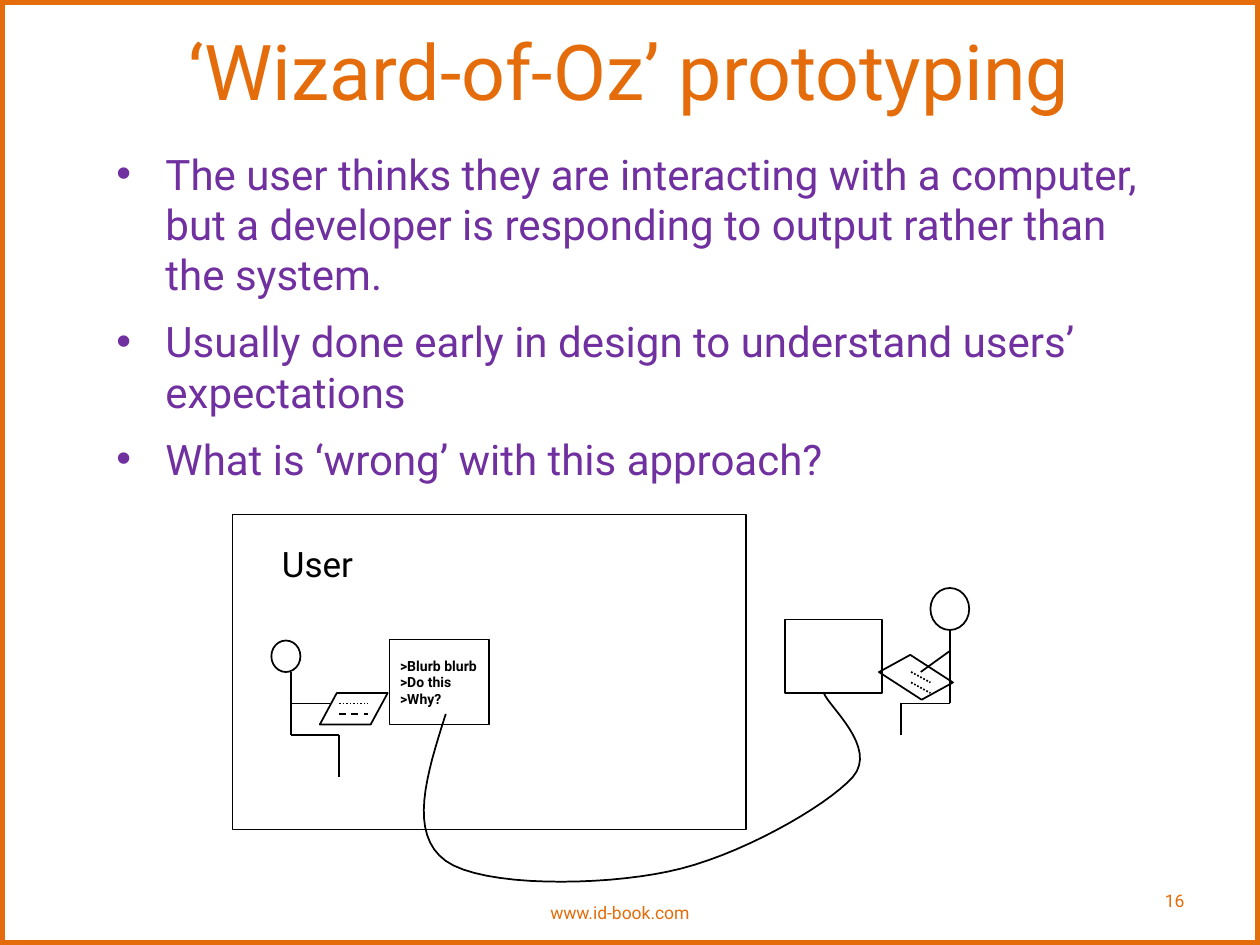
from pptx import Presentation
from pptx.dml.color import RGBColor
from pptx.enum.dml import MSO_LINE as Dash
from pptx.enum.shapes import MSO_CONNECTOR as Conn, MSO_SHAPE as Kind
from pptx.enum.text import MSO_ANCHOR as Anchor, MSO_AUTO_SIZE as Fit, PP_ALIGN as Align
from pptx.oxml.ns import qn
from pptx.util import Inches, Pt

COLS, ROWS = 130, 90
COLORS = {"accent": "E46C0A", "body": "7030A0", "ink": "000000"}


class Sketch:
    """Draws on one slide; lengths are columns and rows of the grid."""

    def __init__(self, deck):
        self.slide = deck.slides.add_slide(deck.slide_layouts[1])
        self.shapes = self.slide.shapes
        self.col = deck.slide_width / COLS
        self.row = deck.slide_height / ROWS
        self.font = "Roboto"

    def at(self, *nums):
        return [round(n * (self.row if i % 2 else self.col)) for i, n in enumerate(nums)]

    def stroke(self, item, color="ink", width=1):
        item.line.color.rgb = RGBColor.from_string(COLORS[color])
        item.line.width = Pt(width)

    def fill(self, box, lines, size, color, bold=False, align=Align.LEFT,
             anchor=Anchor.TOP, wrap=True, gap=0, hang=0):
        """Puts styled paragraphs into a box."""
        frame = box.text_frame
        frame.text = "\n".join(lines)
        frame.word_wrap = wrap
        frame.auto_size = Fit.NONE
        frame.vertical_anchor = anchor
        for i, para in enumerate(frame.paragraphs):
            para.alignment = align
            para.space_before = Pt(gap if i else 0)
            if hang:
                props = para._p.get_or_add_pPr()
                props.set("marL", str(Inches(hang)))
                props.set("indent", str(-Inches(hang)))
            font = para.font
            font.name, font.size, font.bold = self.font, Pt(size), bold
            font.color.rgb = RGBColor.from_string(COLORS[color])

    def holder(self, index, place, lines, size, color, **style):
        box = self.slide.placeholders[index]
        box.left, box.top, box.width, box.height = self.at(*place)
        self.fill(box, lines, size, color, **style)

    def text(self, place, lines, size, color="ink", **style):
        self.fill(self.shapes.add_textbox(*self.at(*place)), lines, size, color, **style)

    def shape(self, kind, *place, color="ink", width=1):
        item = self.shapes.add_shape(kind, *self.at(*place))
        item.shadow.inherit = False
        item.fill.background()
        self.stroke(item, color, width)
        return item

    def keys(self, *place, turn=0):
        item = self.shape(Kind.PARALLELOGRAM, *place)
        item.adjustments[0] = 0.54
        item.rotation = turn

    def line(self, *ends, dash=None):
        item = self.shapes.add_connector(Conn.STRAIGHT, *self.at(*ends))
        self.stroke(item)
        if dash:
            item.line.dash_style = dash
        props = item._element.spPr
        props.append(props.makeelement(qn("a:effectLst"), {}))

    def chain(self, *points):
        for start, end in zip(points, points[1:]):
            self.line(*start, *end)

    def curve(self, start, arcs, steps=16):
        """Draws joined cubic arcs, each given as two handles and an end."""
        points, here = [], start
        for arc in arcs:
            for i in range(1, steps + 1):
                t = i / steps
                u = 1 - t
                parts = (u ** 3, 3 * u * u * t, 3 * u * t * t, t ** 3)
                points.append(self.at(*(
                    sum(p * spot[axis] for p, spot in zip(parts, (here, *arc)))
                    for axis in (0, 1))))
            here = arc[-1]
        pen = self.shapes.build_freeform(*self.at(*start))
        pen.add_line_segments(points, close=False)
        item = pen.convert_to_shape()
        item.shadow.inherit = False
        item.fill.background()
        self.stroke(item)


def main():
    deck = Presentation()
    deck.slide_width, deck.slide_height = Inches(10), Inches(7.5)
    art = Sketch(deck)

    art.shape(Kind.RECTANGLE, 0, 0, COLS, ROWS, color="accent", width=6)
    art.holder(0, (17.3, 1.6, 95.3, 10), ["‘Wizard-of-Oz’ prototyping"], 44, "accent",
               align=Align.CENTER, anchor=Anchor.MIDDLE, wrap=False)
    art.holder(1, (10.7, 13.5, 111.5, 66), [
        "The user thinks they are interacting with a computer, but a developer is "
        "responding to output rather than the system.",
        "Usually done early in design to understand users’ expectations",
        "What is ‘wrong’ with this approach?",
    ], 24, "body", gap=9.4, hang=0.39)
    art.text((55.5, 84.5, 30.3, 4.8), ["www.id-book.com"], 10, "accent",
             anchor=Anchor.MIDDLE)
    art.text((93.2, 83.4, 30.3, 4.8), ["16"], 10, "accent",
             align=Align.RIGHT, anchor=Anchor.MIDDLE)

    # Room with the user
    art.shape(Kind.RECTANGLE, 24, 49, 53, 30)
    art.text((27.8, 51.1, 10.3, 5.3), ["User"], 20)
    art.shape(Kind.RECTANGLE, 40.2, 60.9, 10.3, 8.1)
    art.text((40, 62, 10.5, 6), [">Blurb blurb", ">Do this", ">Why?"], 8,
             bold=True, wrap=False)
    art.shape(Kind.OVAL, 28, 61, 3, 3)
    art.chain((30, 64), (30, 67), (30, 70), (35, 70), (35, 74))
    art.line(30, 67, 34, 67)
    art.keys(33, 66, 7, 3)
    art.line(35, 67, 38, 67, dash=Dash.ROUND_DOT)
    art.line(35, 68, 38, 68, dash=Dash.DASH)

    # Hidden developer
    art.shape(Kind.RECTANGLE, 81, 59, 10, 7)
    art.shape(Kind.OVAL, 96, 56, 4, 4)
    art.chain((98, 60), (98, 64), (98, 67), (93, 67), (93, 70))
    art.line(98, 62, 95, 64)
    art.keys(91, 63, 7, 3, turn=212.9)
    for row in (64, 65):
        art.line(94, row, 96, row + 1, dash=Dash.ROUND_DOT)

    # Cable between the screens
    art.curve((46, 68), [
        ((44, 73.8), (42.1, 79.4), (46, 82)),
        ((49.8, 84.5), (62, 84.4), (69, 83)),
        ((76, 81.7), (85.3, 76.8), (88, 74)),
        ((90.6, 71.2), (85.5, 67.3), (85, 66)),
    ])
    deck.save("out.pptx")


if __name__ == "__main__":
    main()
